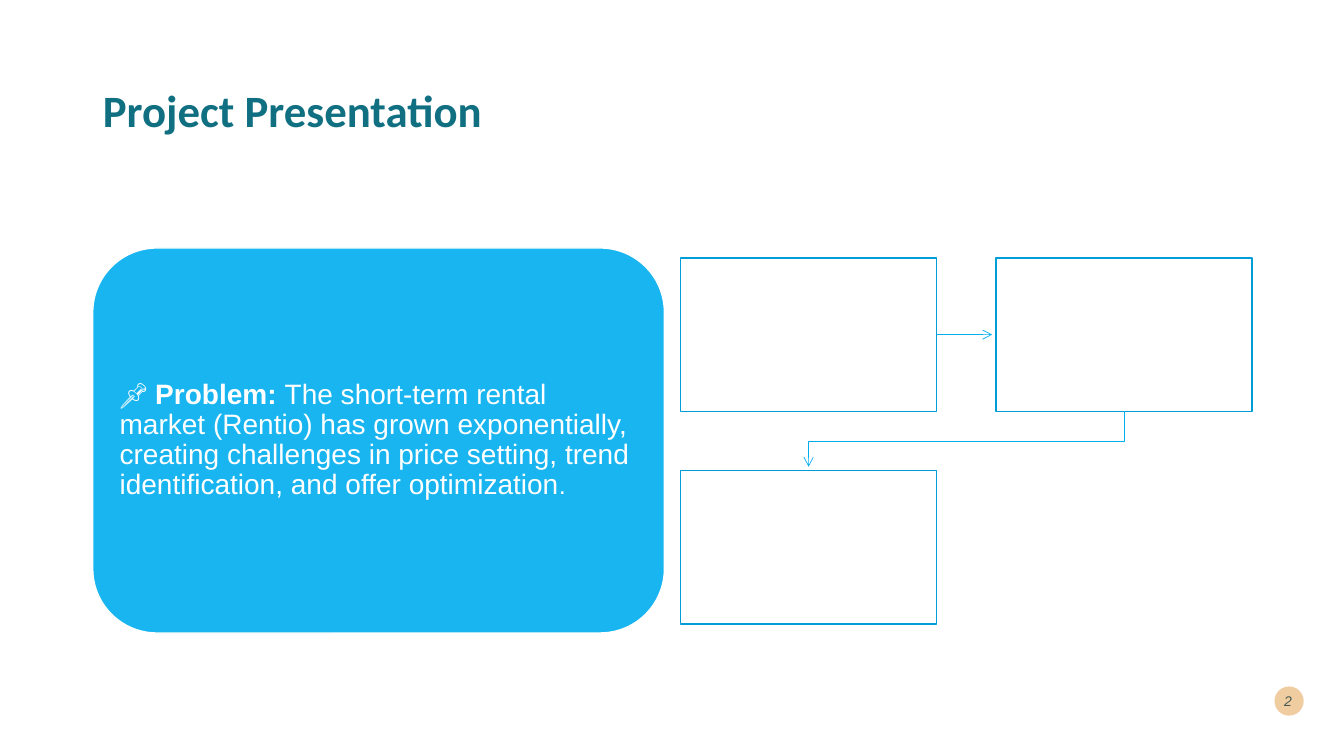
"""Build the project presentation slide with a problem card and a three-step flow."""
from dataclasses import dataclass

from lxml.etree import SubElement
from pptx import Presentation
from pptx.dml.color import RGBColor
from pptx.enum.shapes import MSO_CONNECTOR, MSO_SHAPE
from pptx.enum.text import MSO_ANCHOR, MSO_AUTO_SIZE, PP_ALIGN
from pptx.oxml.ns import qn
from pptx.util import Inches, Pt


@dataclass(frozen=True)
class Theme:
    title: RGBColor = RGBColor.from_string("107082")
    accent: RGBColor = RGBColor.from_string("00AEEF")
    step_border: RGBColor = RGBColor.from_string("009ED9")
    badge: RGBColor = RGBColor.from_string("F0CDA1")
    number: RGBColor = RGBColor.from_string("00292E")
    white: RGBColor = RGBColor.from_string("FFFFFF")
    title_font: str = "Calibri"
    body_font: str = "Arial"
    title_size: int = 32
    body_size: int = 20
    stop_size: int = 18
    number_size: int = 10


def add_run(paragraph, text, font_name, size, color, bold=False, italic=False):
    run = paragraph.add_run()
    run.text = text
    run.font.name = font_name
    run.font.size = Pt(size)
    run.font.color.rgb = color
    run.font.bold = bold
    run.font.italic = italic


def set_opacity(shape, percent):
    first_color = next(shape.element.iter(qn("a:srgbClr")))
    SubElement(first_color, qn("a:alpha"), val=str(percent * 1000))


theme = Theme()
presentation = Presentation()
presentation.slide_width = Inches(13.33)
presentation.slide_height = Inches(7.5)
slide = presentation.slides.add_slide(presentation.slide_layouts[5])
shapes = slide.shapes
left_margin = Inches(0.92)

badge = shapes.add_shape(MSO_SHAPE.OVAL, Inches(12.64), Inches(6.81), Inches(0.29), Inches(0.29))
badge.shadow.inherit = False
badge.fill.solid()
badge.fill.fore_color.rgb = theme.badge
badge.line.fill.background()

page_number = shapes.add_textbox(Inches(12.52), Inches(6.75), Inches(0.39), Inches(0.4))
page_number.text_frame.word_wrap = True
page_number.text_frame.vertical_anchor = MSO_ANCHOR.MIDDLE
number_paragraph = page_number.text_frame.paragraphs[0]
number_paragraph.alignment = PP_ALIGN.RIGHT
add_run(number_paragraph, "2", theme.body_font, theme.number_size, theme.number, italic=True)
set_opacity(page_number, 70)

title = shapes.title
title.left, title.top = left_margin, Inches(0.4)
title.width, title.height = Inches(11.5), Inches(1.45)
title.text_frame.auto_size = MSO_AUTO_SIZE.NONE
title.text_frame.vertical_anchor = MSO_ANCHOR.MIDDLE
title_paragraph = title.text_frame.paragraphs[0]
title_paragraph.alignment = PP_ALIGN.LEFT
title_paragraph.line_spacing = 0.9
add_run(title_paragraph, "Project Presentation", theme.title_font, theme.title_size, theme.title, bold=True)

problem_card = shapes.add_shape(
    MSO_SHAPE.ROUNDED_RECTANGLE, left_margin, Inches(2.46), Inches(5.67), Inches(3.82))
problem_card.shadow.inherit = False
problem_card.fill.solid()
problem_card.fill.fore_color.rgb = theme.accent
problem_card.line.color.rgb = theme.white
problem_card.line.width = Pt(1)
set_opacity(problem_card, 90)
problem_frame = problem_card.text_frame
problem_frame.word_wrap = True
problem_frame.vertical_anchor = MSO_ANCHOR.MIDDLE
problem_frame.margin_left = problem_frame.margin_right = Inches(0.08)
problem_frame.margin_top = problem_frame.margin_bottom = Inches(0.08)
problem_paragraph = problem_frame.paragraphs[0]
problem_paragraph.alignment = PP_ALIGN.LEFT
problem_paragraph.line_spacing = 0.9
problem_runs = [
    ("📌 Problem: ", theme.body_size, True),
    ("The short-term rental market (Rentio) has grown exponentially, creating challenges "
     "in price setting, trend identification, and offer optimization", theme.body_size, False),
    (".", theme.stop_size, False),
]
for text, size, bold in problem_runs:
    add_run(problem_paragraph, text, theme.body_font, size, theme.white, bold=bold)

grid_left, grid_top = Inches(6.75), Inches(2.56)
step_width, step_height = Inches(2.54), Inches(1.52)
column_pitch, row_pitch = Inches(3.13), Inches(2.11)
steps = []
for column, row in [(0, 0), (1, 0), (0, 1)]:
    step = shapes.add_shape(
        MSO_SHAPE.RECTANGLE, grid_left + column * column_pitch, grid_top + row * row_pitch,
        step_width, step_height)
    step.shadow.inherit = False
    step.fill.solid()
    step.fill.fore_color.rgb = theme.white
    step.line.color.rgb = theme.step_border
    step.line.width = Pt(1)
    steps.append(step)

first, second, third = steps
arrow_gap = Inches(0.04)
arrow_y = first.top + step_height // 2
straight_arrow = shapes.add_connector(
    MSO_CONNECTOR.STRAIGHT, first.left + step_width, arrow_y, second.left - arrow_gap, arrow_y)

start_x = second.left + step_width // 2
end_x = third.left + step_width // 2
start_y = second.top + step_height
turn_y = (start_y + third.top) // 2
elbow = shapes.build_freeform(start_x, start_y)
elbow.add_line_segments(
    [(start_x, turn_y), (end_x, turn_y), (end_x, third.top - arrow_gap)], close=False)
elbow_arrow = elbow.convert_to_shape()
elbow_arrow.fill.background()

for arrow in (straight_arrow, elbow_arrow):
    arrow.line.color.rgb = theme.accent
    arrow.line.width = Pt(0.5)
    properties = arrow.element.spPr
    SubElement(properties.find(qn("a:ln")), qn("a:tailEnd"), type="arrow")
    SubElement(properties, qn("a:effectLst"))

presentation.save("out.pptx")
